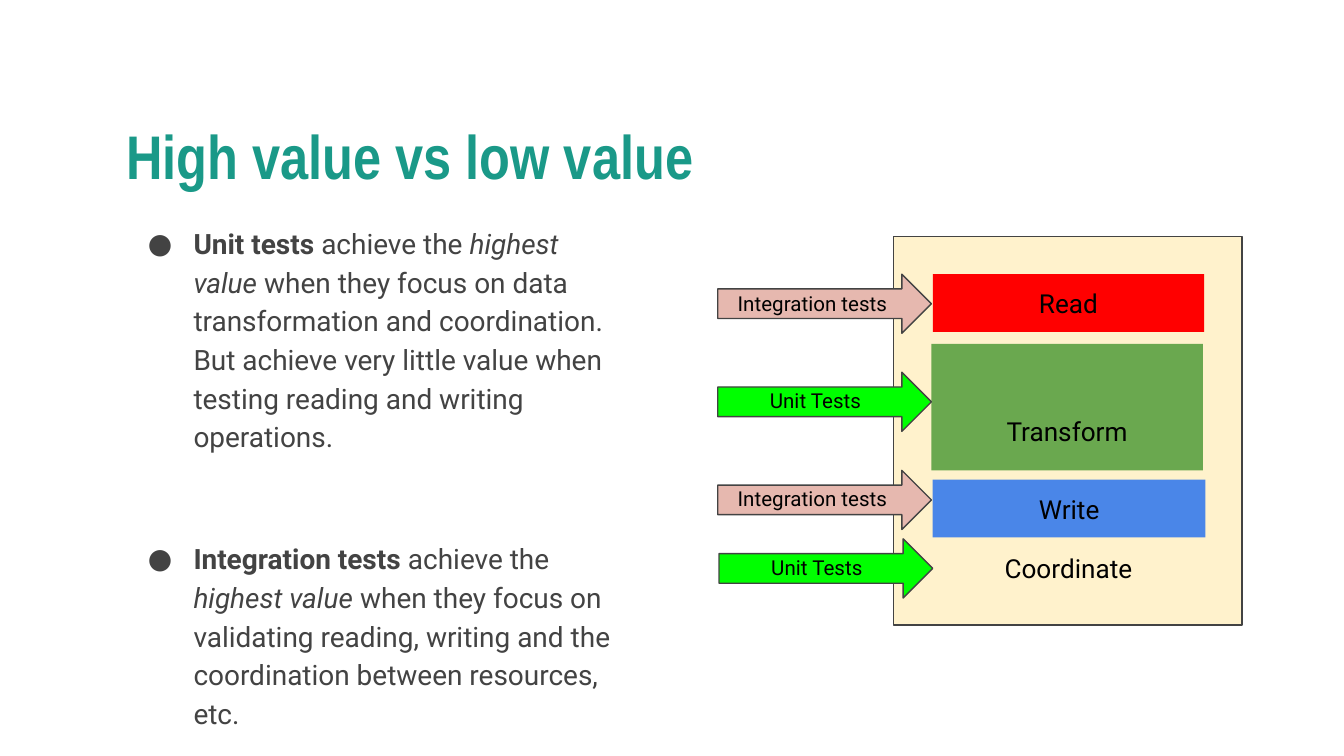
from dataclasses import dataclass

from lxml import etree
from pptx import Presentation
from pptx.dml.color import RGBColor
from pptx.enum.shapes import MSO_SHAPE
from pptx.enum.text import MSO_ANCHOR, MSO_AUTO_SIZE, PP_ALIGN
from pptx.oxml.ns import qn
from pptx.util import Inches, Pt

RECT, ARROW = MSO_SHAPE.RECTANGLE, MSO_SHAPE.RIGHT_ARROW
TOP, MIDDLE = MSO_ANCHOR.TOP, MSO_ANCHOR.MIDDLE
LEFT, CENTER = PP_ALIGN.LEFT, PP_ALIGN.CENTER
NO_FIT = MSO_AUTO_SIZE.NONE


@dataclass(frozen=True)
class Theme:
    head_font: str = "Arial Narrow"
    font: str = "Roboto"
    teal: str = "1A9988"
    grey: str = "434343"
    black: str = "000000"
    cream: str = "FFF2CC"
    red: str = "FF0000"
    green: str = "6AA84F"
    blue: str = "4A86E8"
    lime: str = "00FF00"
    pink: str = "E6B8AF"
    head: int = 33
    body: int = 15
    block: int = 14
    label: int = 11


THEME = Theme()

# Body points: (text, style) runs
POINTS = [
    [("Unit tests", "b"), (" achieve the ", ""), ("highest value", "i"),
     (" when they focus on data transformation and coordination. "
      "But achieve very little value when testing reading and writing "
      "operations.", "")],
    [("Integration tests", "b"), (" achieve the ", ""),
     ("highest value", "i"),
     (" when they focus on validating reading, writing and the "
      "coordination between resources, etc.", "")],
]

# Blocks: text, left, top, width, height, fill
BLOCKS = [
    ("Read", 6.94, 2.04, 2.02, 0.43, THEME.red),
    ("Transform", 6.93, 2.56, 2.02, 0.94, THEME.green),
    ("Write", 6.94, 3.57, 2.03, 0.43, THEME.blue),
    ("Coordinate", 6.94, 4.01, 2.02, 0.43, None),
]

# Kinds of test: text, fill, label offset from the arrow, label width
UNIT = ("Unit Tests", THEME.lime, 0.29, 1.14)
INTEG = ("Integration tests", THEME.pink, 0.05, 1.38)
# Arrows: kind, left, top, label offset down
ARROWS = [(INTEG, 5.34, 2.04, 0.03), (UNIT, 5.34, 2.77, 0.02),
          (INTEG, 5.34, 3.5, 0.02), (UNIT, 5.35, 4.01, 0.02)]


def add_run(para, text, size, color, font=THEME.font, style=""):
    run = para.add_run()
    run.text = text
    run.font.name = font
    run.font.size = Pt(size)
    run.font.color.rgb = RGBColor.from_string(color)
    run.font.bold = "b" in style
    run.font.italic = "i" in style


def set_frame(frame, side, ends, anchor=TOP):
    frame.word_wrap = True
    frame.auto_size = NO_FIT
    frame.margin_left = frame.margin_right = Inches(side)
    frame.margin_top = frame.margin_bottom = Inches(ends)
    frame.vertical_anchor = anchor


def add_bullet(para):
    props = para._p.get_or_add_pPr()
    props.set("marL", str(Inches(0.5)))
    props.set("indent", str(Inches(-0.34)))
    color = etree.SubElement(props, qn("a:buClr"))
    etree.SubElement(color, qn("a:srgbClr")).set("val", THEME.grey)
    etree.SubElement(props, qn("a:buFont")).set("typeface", THEME.font)
    etree.SubElement(props, qn("a:buChar")).set("char", "●")


def add_box(slide, kind, box, fill, line=None):
    shape = slide.shapes.add_shape(kind, *map(Inches, box))
    shape.shadow.inherit = False
    shape.fill.solid()
    shape.fill.fore_color.rgb = RGBColor.from_string(fill)
    if line:
        shape.line.color.rgb = RGBColor.from_string(line)
        shape.line.width = Pt(0.75)
    else:
        shape.line.fill.background()
    return shape


def fill_text(shape, text, size, align, ends=0.1, anchor=MIDDLE):
    set_frame(shape.text_frame, 0.1, ends, anchor)
    para = shape.text_frame.paragraphs[0]
    para.alignment = align
    add_run(para, text, size, THEME.black)
    return para


def add_label(slide, text, box, size, align):
    shape = slide.shapes.add_textbox(*map(Inches, box))
    fill_text(shape, text, size, align)


def add_title(slide, text):
    title = slide.shapes.title
    title.left, title.top = Inches(0.87), Inches(0.87)
    title.width, title.height = Inches(7.9), Inches(1.09)
    set_frame(title.text_frame, 0.07, 0.07)
    para = title.text_frame.paragraphs[0]
    para.alignment = LEFT
    para.line_spacing = 0.9
    add_run(para, text, THEME.head, THEME.teal, THEME.head_font, "b")


def add_points(slide):
    box = slide.shapes.add_textbox(*map(Inches, (0.87, 1.58, 3.77, 3.93)))
    frame = box.text_frame
    set_frame(frame, 0.07, 0.07)
    for i, runs in enumerate(POINTS):
        para = frame.add_paragraph() if i else frame.paragraphs[0]
        add_bullet(para)
        para.line_spacing = 1.15
        if i:
            para.space_before = Pt(44.7)
        para.font.size = Pt(THEME.body)
        for text, style in runs:
            add_run(para, text, THEME.body, THEME.grey, style=style)


def add_blocks(slide):
    add_box(slide, RECT, (6.65, 1.76, 2.59, 2.89), THEME.cream, THEME.grey)
    for text, *box, fill in BLOCKS:
        if not fill:
            add_label(slide, text, box, THEME.block, CENTER)
            continue
        shape = add_box(slide, RECT, box, fill)
        if text == "Transform":
            # The tall block carries its text low
            para = fill_text(shape, text, THEME.block, CENTER, 0.3, TOP)
            para.line_spacing = 2.0
        else:
            fill_text(shape, text, THEME.block, CENTER)


def add_arrows(slide):
    for (text, fill, shift, width), left, top, drop in ARROWS:
        add_box(slide, ARROW, (left, top, 1.59, 0.44), fill, THEME.grey)
        add_label(slide, text, (left + shift, top + drop, width, 0.38),
                  THEME.label, LEFT)


def main():
    deck = Presentation()
    # Widescreen, 16 to 9
    deck.slide_width = Inches(10)
    deck.slide_height = Inches(10 * 9 / 16)
    slide = deck.slides.add_slide(deck.slide_layouts[5])
    # Text on the left
    add_title(slide, "High value vs low value")
    add_points(slide)
    # Diagram on the right
    add_blocks(slide)
    add_arrows(slide)
    deck.save("out.pptx")


if __name__ == "__main__":
    main()
